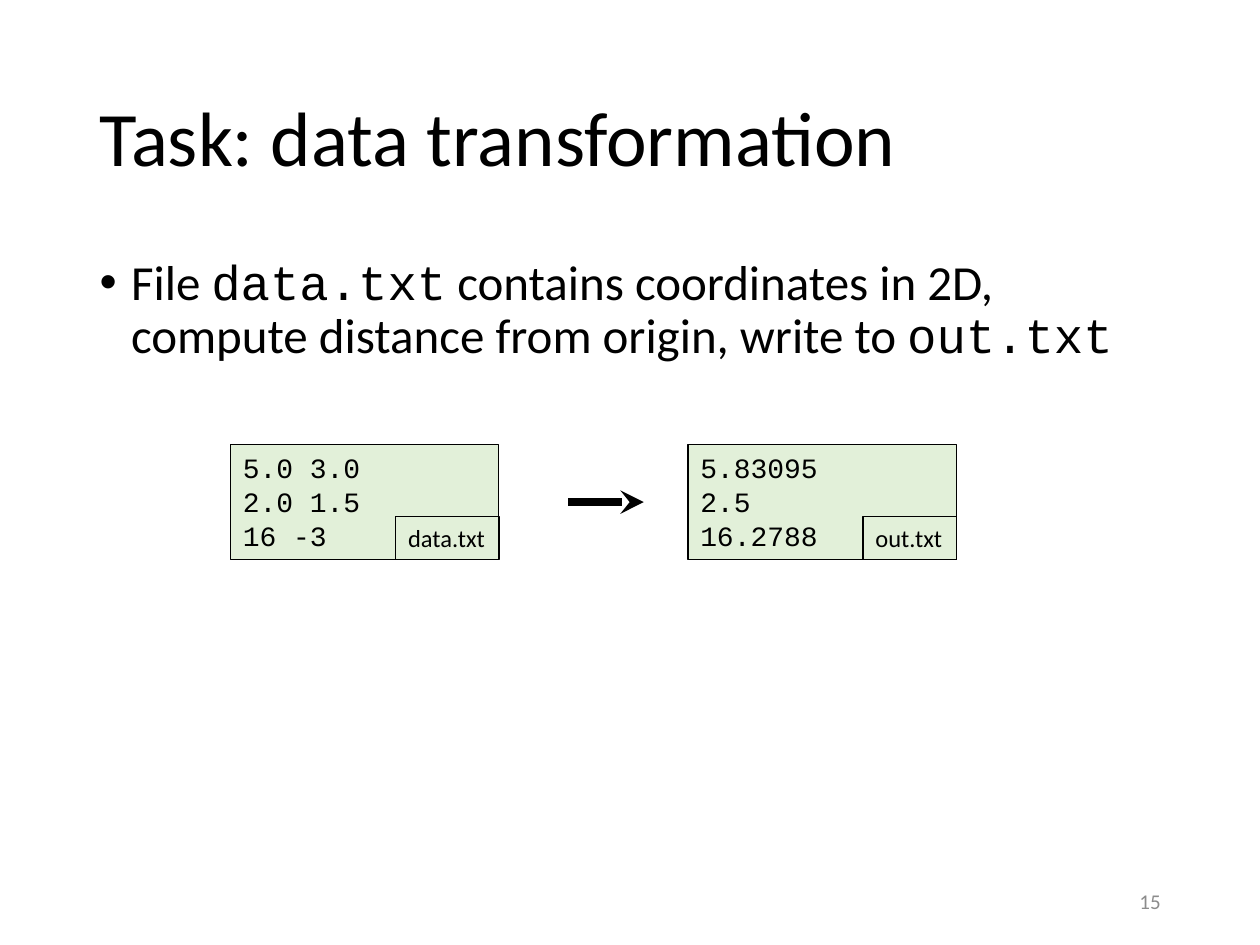
from pptx import Presentation
from pptx.dml.color import RGBColor
from pptx.enum.shapes import MSO_CONNECTOR
from pptx.enum.text import MSO_ANCHOR, MSO_AUTO_SIZE, PP_ALIGN
from pptx.oxml.ns import qn
from pptx.util import Inches, Pt
from lxml.etree import SubElement


class Theme:
    text_font, code_font = "Calibri", "Courier New"
    ink, muted, paper = (RGBColor.from_string(c) for c in ("000000", "8C8C8C", "E2F0D9"))
    title, body, code, label, number = 44, 28, 16, 14, 12
    border, arrow = 0.75, 4.5


# Content
TITLE = "Task: data transformation"
BULLET = [
    ("File ", Theme.text_font),
    ("data.txt", Theme.code_font),
    (" contains coordinates in 2D, compute distance from origin, write to ", Theme.text_font),
    ("out.txt", Theme.code_font),
]
# File name, label width, left edge, lines
FILES = [
    ("data.txt", 0.82, 1.83, ["5.0 3.0", "2.0 1.5", "16 -3"]),
    ("out.txt", 0.74, 5.46, ["5.83095", "2.5", "16.2788"]),
]
PAGE_NUMBER = "15"

# Layout in inches
MARGIN, CONTENT_WIDTH = 0.69, 8.62
FILE_TOP, FILE_WIDTH, FILE_HEIGHT, LABEL_HEIGHT = 3.53, 2.13, 0.91, 0.34
ARROW_LEFT, ARROW_LENGTH = 4.51, 0.6


def place(shape, left, top, width, height):
    shape.left, shape.top = Inches(left), Inches(top)
    shape.width, shape.height = Inches(width), Inches(height)


def style(font, size, name=Theme.text_font, color=Theme.ink):
    font.size, font.name = Pt(size), name
    font.color.rgb = color


def add_text(shapes, lines, box, size, name=Theme.text_font, color=Theme.ink, wrap=True):
    shape = shapes.add_textbox(*map(Inches, box))
    frame = shape.text_frame
    frame.word_wrap = wrap
    frame.text = "\n".join(lines)
    for paragraph in frame.paragraphs:
        style(paragraph.font, size, name, color)
    return shape


def add_border(shape):
    shape.line.color.rgb = Theme.ink
    shape.line.width = Pt(Theme.border)
    shape.text_frame.auto_size = MSO_AUTO_SIZE.SHAPE_TO_FIT_TEXT


def add_file(slide, name, label_width, left, lines):
    group = slide.shapes.add_group_shape()
    sheet = add_text(group.shapes, lines, (left, FILE_TOP, FILE_WIDTH, FILE_HEIGHT),
                     Theme.code, Theme.code_font)
    sheet.fill.solid()
    sheet.fill.fore_color.rgb = Theme.paper
    # The label sits in the sheet's bottom right corner
    label_box = (left + FILE_WIDTH - label_width, FILE_TOP + FILE_HEIGHT - LABEL_HEIGHT,
                 label_width, LABEL_HEIGHT)
    label = add_text(group.shapes, [name], label_box, Theme.label, wrap=False)
    for shape in (sheet, label):
        add_border(shape)


def add_arrow(slide):
    middle = Inches(FILE_TOP + FILE_HEIGHT / 2)
    arrow = slide.shapes.add_connector(
        MSO_CONNECTOR.STRAIGHT, Inches(ARROW_LEFT), middle,
        Inches(ARROW_LEFT + ARROW_LENGTH), middle)
    arrow.line.color.rgb = Theme.ink
    arrow.line.width = Pt(Theme.arrow)
    SubElement(arrow.line._get_or_add_ln(), qn("a:tailEnd"), type="stealth")
    SubElement(arrow._element.spPr, qn("a:effectLst"))


def main():
    presentation = Presentation()
    presentation.slide_width, presentation.slide_height = Inches(10), Inches(7.5)
    slide = presentation.slides.add_slide(presentation.slide_layouts[1])

    # Title
    title = slide.shapes.title
    place(title, MARGIN, 0.4, CONTENT_WIDTH, 1.45)
    title.text_frame.text = TITLE
    title.text_frame.auto_size = MSO_AUTO_SIZE.NONE
    title.text_frame.vertical_anchor = MSO_ANCHOR.MIDDLE
    paragraph = title.text_frame.paragraphs[0]
    paragraph.alignment, paragraph.line_spacing = PP_ALIGN.LEFT, 0.9
    style(paragraph.font, Theme.title)

    # Task description
    body = slide.placeholders[1]
    place(body, MARGIN, 2, CONTENT_WIDTH, 4.76)
    body.text_frame.auto_size = MSO_AUTO_SIZE.NONE
    paragraph = body.text_frame.paragraphs[0]
    paragraph.line_spacing, paragraph.space_before = 0.9, Pt(0)
    properties = paragraph._p.get_or_add_pPr()
    properties.set("marL", str(Inches(0.25)))
    properties.set("indent", str(Inches(-0.25)))
    SubElement(properties, qn("a:buFont"), typeface="Arial")
    SubElement(properties, qn("a:buChar"), char="•")
    for text, font_name in BULLET:
        run = paragraph.add_run()
        run.text = text
        style(run.font, Theme.body, font_name)

    # Page number
    number = add_text(slide.shapes, [PAGE_NUMBER], (7.06, 6.95, 2.25, 0.4),
                      Theme.number, color=Theme.muted)
    number.text_frame.vertical_anchor = MSO_ANCHOR.MIDDLE
    number.text_frame.paragraphs[0].alignment = PP_ALIGN.RIGHT

    # Input file, arrow, output file
    for file in FILES:
        add_file(slide, *file)
    add_arrow(slide)

    presentation.save("out.pptx")


if __name__ == "__main__":
    main()
